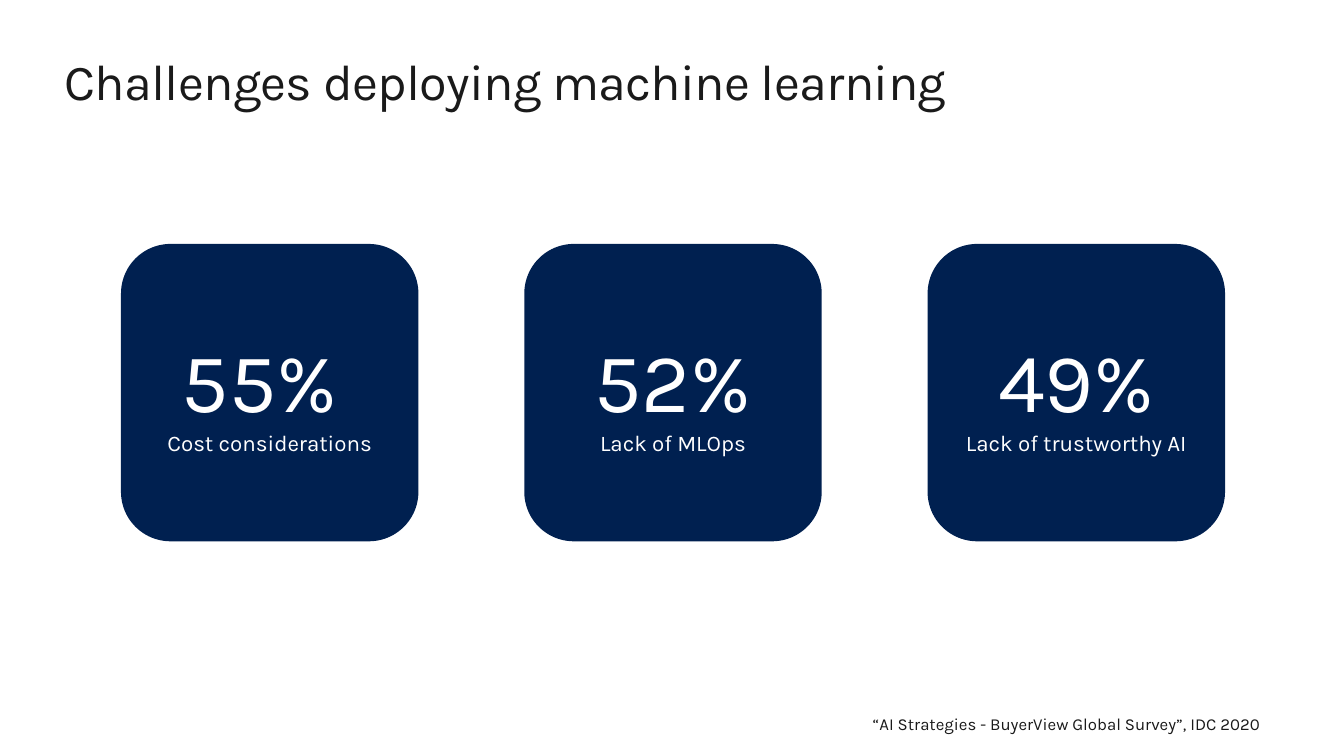
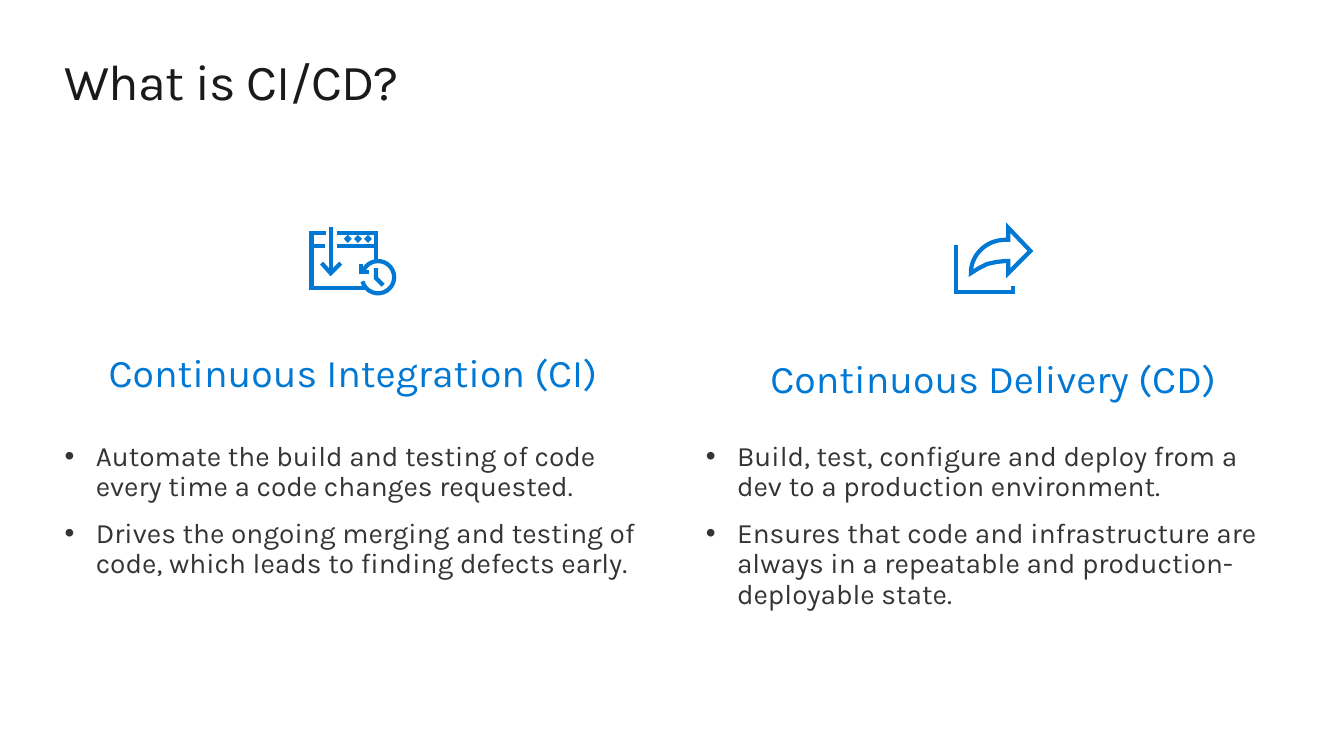
from math import cos, radians, sin

from lxml.etree import SubElement
from pptx import Presentation
from pptx.dml.color import RGBColor
from pptx.enum.shapes import MSO_SHAPE as Shape
from pptx.enum.text import MSO_ANCHOR as Anchor, MSO_AUTO_SIZE as AutoSize, PP_ALIGN as Align
from pptx.oxml.ns import qn
from pptx.util import Inches, Pt

FONT = "Karla"
COLORS = {"title": "1A1A1A", "card": "002050", "white": "FFFFFF", "accent": "0078D4", "body": "343434"}

CHALLENGES_TITLE = "Challenges deploying machine learning"
CHALLENGES = [
    ("55% ", "Cost considerations"),
    ("52%", "Lack of MLOps"),
    ("49%", "Lack of trustworthy AI"),
]
SURVEY_SOURCE = "“AI Strategies - BuyerView Global Survey”, IDC 2020"

PRACTICES_TITLE = "What is CI/CD?"
PRACTICES = [
    {
        "heading": "Continuous Integration (CI)",
        "heading_at": (0.65, 3.46),
        "list_at": (0.64, 4.39),
        "list_height": 1.38,
        "points": [
            "Automate the build and testing of code every time a code changes requested.",
            "Drives the ongoing merging and testing of code, which leads to finding defects early.",
        ],
    },
    {
        "heading": "Continuous Delivery (CD)",
        "heading_at": (7, 3.51),
        "list_at": (7, 4.39),
        "list_height": 1.68,
        "points": [
            "Build, test, configure and deploy from a dev to a production environment.",
            "Ensures that code and infrastructure are always in a repeatable and production-deployable state.",
        ],
    },
]
COLUMN_WIDTH = 5.7
CARD_SIZE, CARD_LEFT, CARD_TOP, CARD_STEP = 2.95, 1.2, 2.42, 4


def arc(center, radii, start, end, steps=24):
    angles = [radians(start + (end - start) * i / steps) for i in range(steps + 1)]
    return [(center[0] + radii[0] * cos(a), center[1] + radii[1] * sin(a)) for a in angles]


def diamond(x, y, r=0.01):
    return [(x, y + r), (x + r, y), (x, y - r), (x - r, y)]


WINDOW = [
    ([(3.34, 2.31), (3.73, 2.31), (3.73, 2.86), (3.09, 2.86), (3.09, 2.31), (3.23, 2.31)], False),
    ([(3.34, 2.44), (3.73, 2.44)], False),
    ([(3.09, 2.44), (3.22, 2.44)], False),
    *[(diamond(x, 2.37), True) for x in (3.45, 3.55, 3.65)],
    ([(3.19, 2.61), (3.28, 2.71), (3.38, 2.61)], False),
    ([(3.28, 2.25), (3.28, 2.71)], False),
]
CLOCK = [
    ([(3.8, 2.83), (3.73, 2.76), (3.73, 2.66)], False),
    ([(3.58, 2.62), (3.58, 2.7), (3.66, 2.7)], False),
    (arc((3.75, 2.75), (0.16, 0.16), 165, -163), False),
]
SHARE = [
    (arc((9.97, 2.71), (0.34, 0.33), 180, 270)
     + [(10, 2.38), (10, 2.26), (10.22, 2.49), (10, 2.71), (10, 2.59), (9.97, 2.59),
        (9.88, 2.6), (9.79, 2.62), (9.71, 2.66)], True),
    ([(9.48, 2.43), (9.48, 2.9), (10.05, 2.9), (10.05, 2.84)], False),
]


def rgb(name):
    return RGBColor.from_string(COLORS[name])


def place(shape, left, top, width, height):
    shape.left, shape.top, shape.width, shape.height = map(Inches, (left, top, width, height))


def set_frame(shape, inset_x=0, inset_y=0, anchor=Anchor.TOP):
    frame = shape.text_frame
    frame.word_wrap = True
    frame.auto_size = AutoSize.NONE
    frame.vertical_anchor = anchor
    frame.margin_left = frame.margin_right = Inches(inset_x)
    frame.margin_top = frame.margin_bottom = Inches(inset_y)
    return frame


def write(frame, texts, sizes, color, align=Align.LEFT):
    for i, (text, size) in enumerate(zip(texts, sizes)):
        paragraph = frame.paragraphs[0] if i == 0 else frame.add_paragraph()
        paragraph.alignment = align
        paragraph.space_before = Pt(0)
        run = paragraph.add_run()
        run.text = text
        run.font.name, run.font.size, run.font.bold = FONT, Pt(size), False
        run.font.color.rgb = rgb(color)
    return frame.paragraphs


def add_titled_slide(deck, layout_index, text):
    slide = deck.slides.add_slide(deck.slide_layouts[layout_index])
    title = slide.shapes.title
    place(title, 0.64, 0.5, 12.05, 0.61)
    heading = write(set_frame(title), [text], [36], "title")[0]
    heading.runs[0].font._element.set("spc", "-50")
    return slide


def add_bullets(paragraphs):
    for paragraph in paragraphs:
        properties = paragraph._p.get_or_add_pPr()
        properties.set("marL", str(Inches(0.31)))
        properties.set("indent", str(-Inches(0.31)))
        paragraph.line_spacing = 0.9
        paragraph.space_after = Pt(11.8)
        SubElement(properties, qn("a:buChar")).set("char", "•")


def add_icon(slide, contours, filled):
    builder = None
    for points, closed in contours:
        start, *rest = [(Inches(x), Inches(y)) for x, y in points]
        if builder is None:
            builder = slide.shapes.build_freeform(*start, scale=1.0)
        else:
            builder.move_to(*start)
        builder.add_line_segments(rest, close=closed)
    icon = builder.convert_to_shape()
    icon.shadow.inherit = False
    if filled:
        icon.fill.solid()
        icon.fill.fore_color.rgb = rgb("white")
    else:
        icon.fill.background()
    icon.line.color.rgb = rgb("accent")
    icon.line.width = Pt(3)
    outline = icon._element.spPr.find(qn("a:ln"))
    SubElement(outline, qn("a:miter")).set("lim", "800000")


def build_challenges(deck):
    slide = add_titled_slide(deck, 5, CHALLENGES_TITLE)
    for i, texts in enumerate(CHALLENGES):
        box = map(Inches, (CARD_LEFT + i * CARD_STEP, CARD_TOP, CARD_SIZE, CARD_SIZE))
        card = slide.shapes.add_shape(Shape.ROUNDED_RECTANGLE, *box)
        card.shadow.inherit = False
        card.fill.solid()
        card.fill.fore_color.rgb = rgb("card")
        card.line.fill.background()
        write(set_frame(card, 0.2, 0.16, Anchor.MIDDLE), texts, [60, 16], "white", Align.CENTER)
    source = slide.shapes.add_textbox(*map(Inches, (0.64, 7.03, 12.05, 0.3)))
    write(set_frame(source, 0.19, 0.05), [SURVEY_SOURCE], [12], "title", Align.RIGHT)


def build_practices(deck):
    slide = add_titled_slide(deck, 4, PRACTICES_TITLE)
    for i, practice in enumerate(PRACTICES):
        heading, points = (slide.placeholders[2 * i + k] for k in (1, 2))
        place(heading, *practice["heading_at"], COLUMN_WIDTH, 0.47)
        write(set_frame(heading), [practice["heading"]], [28], "accent", Align.CENTER)
        place(points, *practice["list_at"], COLUMN_WIDTH, practice["list_height"])
        texts = practice["points"]
        add_bullets(write(set_frame(points), texts, [20] * len(texts), "body"))
    for contours, filled in ((WINDOW, True), (CLOCK, True), (SHARE, False)):
        add_icon(slide, contours, filled)


def main():
    deck = Presentation()
    deck.slide_width, deck.slide_height = Inches(13.33), Inches(7.5)
    build_challenges(deck)
    build_practices(deck)
    deck.save("out.pptx")


if __name__ == "__main__":
    main()
